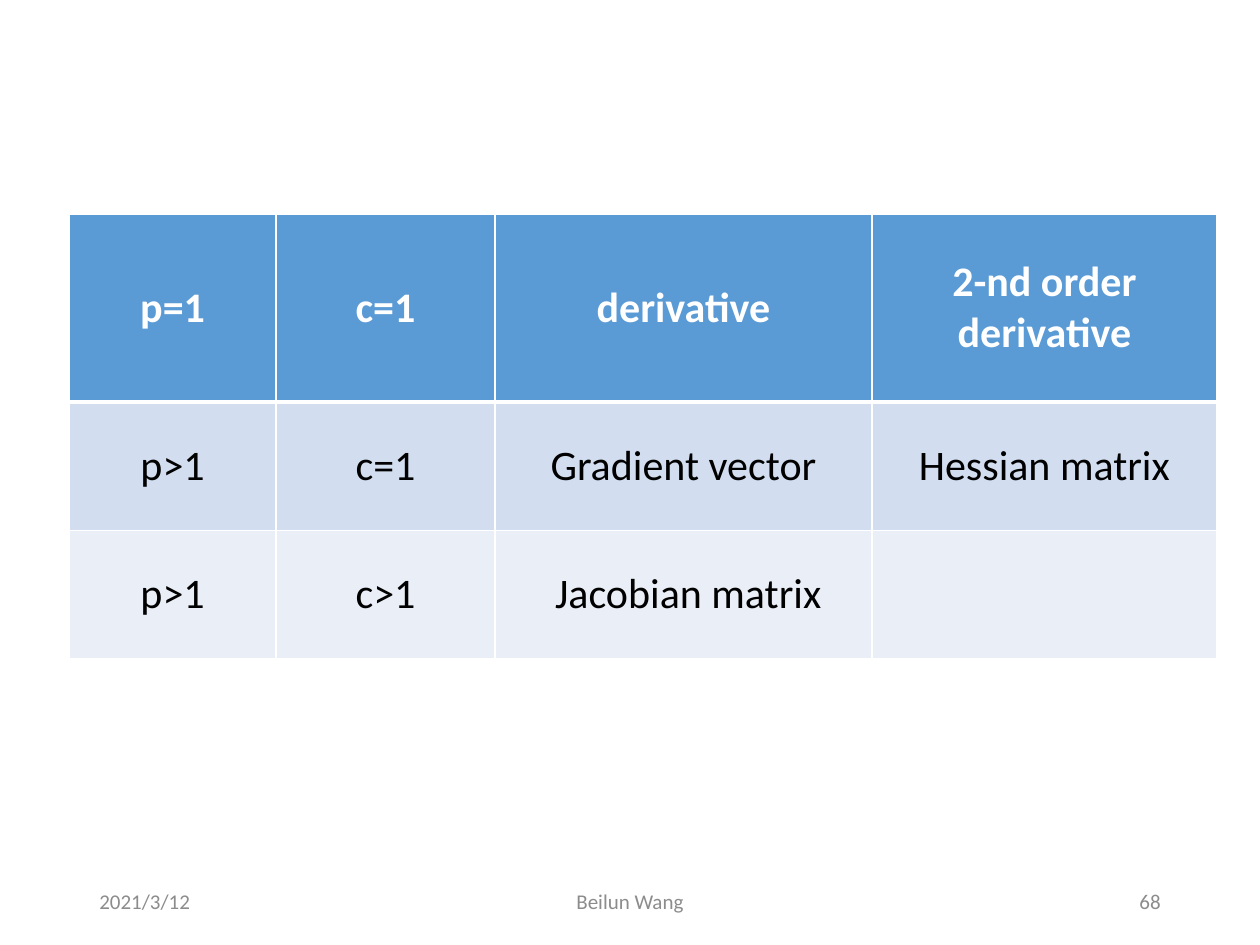
"""Build a slide with a table of derivative types by dimension."""
from lxml import etree
from pptx import Presentation
from pptx.dml.color import RGBColor
from pptx.enum.text import MSO_ANCHOR, PP_ALIGN
from pptx.oxml.ns import qn
from pptx.util import Inches, Pt

MIDDLE = MSO_ANCHOR.MIDDLE
LEFT, CENTER, RIGHT = PP_ALIGN.LEFT, PP_ALIGN.CENTER, PP_ALIGN.RIGHT
FONT = "Calibri"
WHITE, BLACK, GREY = "FFFFFF", "000000", "8C8C8C"
WIDE, HIGH = 10, 7.5

ROWS = [
    ("p=1", "c=1", "derivative", "2-nd order derivative"),
    ("p>1", "c=1", "Gradient vector", "Hessian matrix"),
    ("p>1", "c>1", " Jacobian matrix", ""),
]
FILLS = ["5B9BD5", "D2DEEF", "EAEFF7"]
COLS = [1.64, 1.74, 2.99, 2.74]
TALL = [1.49, 1.02, 1.02]
TABLE_LEFT, TABLE_TOP = 0.55, 1.7

MARGIN = 0.69
FOOTER_TOP, FOOTER_HIGH = 6.95, 0.4
FOOTER = [
    ("2021/3/12", 2.25, LEFT),
    ("Beilun Wang", 3.38, CENTER),
    ("68", 2.25, RIGHT),
]


def color(code):
    """Turn a hex string into a colour."""
    return RGBColor.from_string(code)


def style(para, size, code, align, bold=False):
    """Format a paragraph and its runs."""
    para.alignment = align
    for font in [para.font] + [run.font for run in para.runs]:
        font.name, font.size, font.bold = FONT, Pt(size), bold
        font.color.rgb = color(code)


def border(cell, sides):
    """Draw white borders from a dict of side to width in points."""
    props = cell._tc.get_or_add_tcPr()
    for side, width in sides.items():
        line = etree.SubElement(props, qn(f"a:ln{side}"), w=str(Pt(width)))
        fill = etree.SubElement(line, qn("a:solidFill"))
        etree.SubElement(fill, qn("a:srgbClr"), val=WHITE)


def add_grid(slide):
    """Add the table of derivatives."""
    frame = slide.shapes.add_table(
        len(ROWS), len(COLS), Inches(TABLE_LEFT), Inches(TABLE_TOP),
        Inches(sum(COLS)), Inches(sum(TALL)))
    table = frame.table
    for col, width in zip(table.columns, COLS):
        col.width = Inches(width)
    for r, words in enumerate(ROWS):
        table.rows[r].height = Inches(TALL[r])
        head = r == 0
        for c, text in enumerate(words):
            cell = table.cell(r, c)
            cell.text_frame.text = text
            cell.vertical_anchor = MIDDLE
            style(cell.text_frame.paragraphs[0], 24,
                  WHITE if head else BLACK, CENTER, head)
            border(cell, {"L": 1, "R": 1, "T": 3 if r == 1 else 1,
                          "B": 3 if head else 1})
            cell.fill.solid()
            cell.fill.fore_color.rgb = color(FILLS[r])


def add_footer(slide):
    """Spread the footer boxes evenly between the margins."""
    room = WIDE - 2 * MARGIN - sum(width for _, width, _ in FOOTER)
    gap = room / (len(FOOTER) - 1)
    left = MARGIN
    for text, width, align in FOOTER:
        box = slide.shapes.add_textbox(
            Inches(left), Inches(FOOTER_TOP),
            Inches(width), Inches(FOOTER_HIGH))
        frame = box.text_frame
        frame.word_wrap = True
        frame.vertical_anchor = MIDDLE
        frame.text = text
        style(frame.paragraphs[0], 12, GREY, align)
        left += width + gap


def main():
    """Build and save the slide."""
    deck = Presentation()
    deck.slide_width, deck.slide_height = Inches(WIDE), Inches(HIGH)
    slide = deck.slides.add_slide(deck.slide_layouts[6])
    add_footer(slide)
    add_grid(slide)
    deck.save("out.pptx")


if __name__ == "__main__":
    main()
